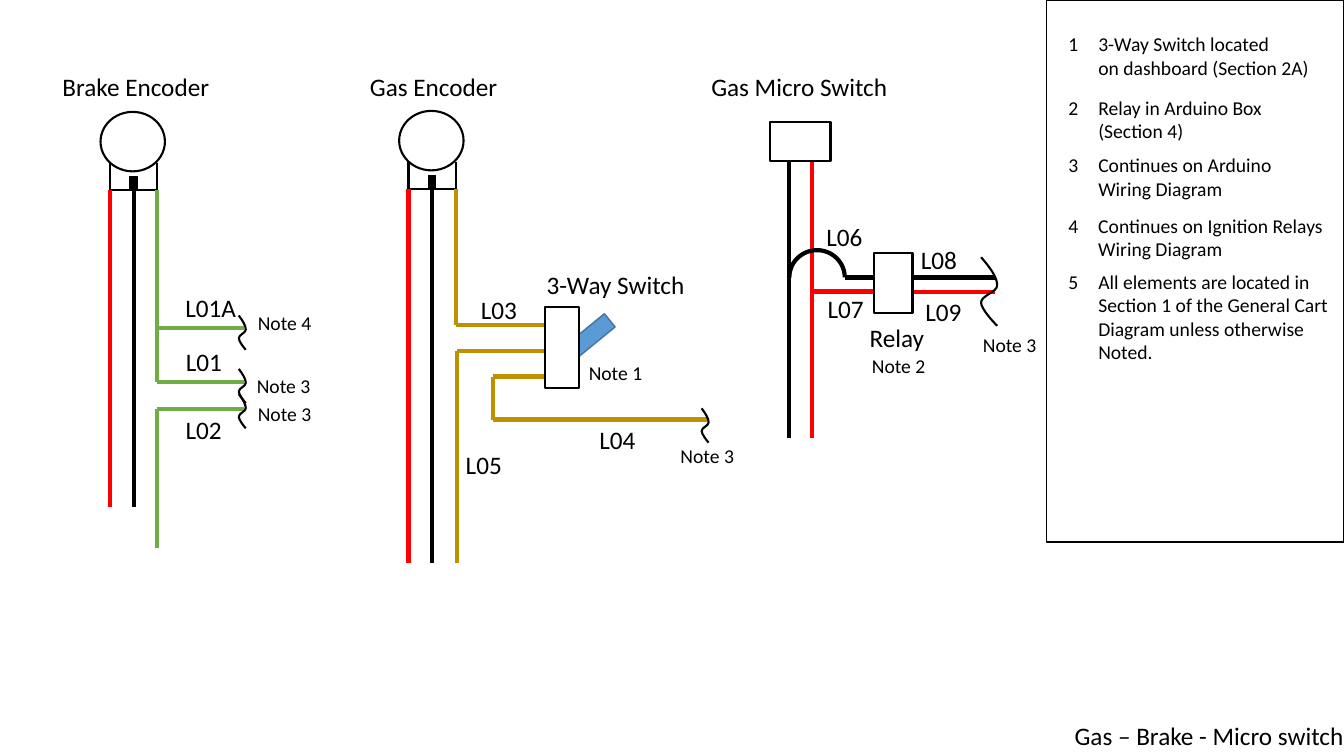
from itertools import pairwise
from typing import NamedTuple

from pptx import Presentation
from pptx.dml.color import RGBColor
from pptx.enum.shapes import MSO_CONNECTOR, MSO_SHAPE
from pptx.enum.text import MSO_AUTO_SIZE
from pptx.oxml.ns import qn
from pptx.shapes.autoshape import Shape
from pptx.shapes.connector import Connector
from pptx.util import Pt
from lxml.etree import SubElement

BLACK, WHITE, RED = "000000", "FFFFFF", "FF0000"
GREEN, GOLD, BLUE, DARK_BLUE = "70AD47", "BF9000", "5B9BD5", "43739E"
WIRE_WIDTH, OUTLINE_WIDTH, THIN_WIDTH = 3, 1.5, 1
TITLE_SIZE, NOTE_SIZE = 18, 14
FRAME_FORMAT = {"word_wrap": False, "auto_size": MSO_AUTO_SIZE.SHAPE_TO_FIT_TEXT}

Point = tuple[float, float]


class Wire(NamedTuple):
    color: str
    points: list[Point]


class Label(NamedTuple):
    text: str
    left: float
    top: float
    width: float
    size: int = TITLE_SIZE


class Encoder(NamedTuple):
    left: float
    top: float
    supply_end: float


class Break(NamedTuple):
    left: float
    top: float
    width: float = 5
    height: float = 24.5


class Note(NamedTuple):
    top: float
    width: float
    lines: str


ENCODERS = [Encoder(71.8, 79.9, 362.2), Encoder(285.1, 79.2, 402.5)]

WIRES = [
    Wire(GREEN, [(112.3, 135.4), (112.3, 272.9), (174.2, 272.9)]),
    Wire(GREEN, [(112.3, 234.5), (174.2, 234.5)]),
    Wire(GREEN, [(174.2, 292.3), (112.3, 292.3), (112.3, 391.3)]),
    Wire(GOLD, [(325.6, 134.7), (325.6, 232.3), (388.8, 232.3)]),
    Wire(GOLD, [(388.8, 250.6), (326.2, 250.6), (326.2, 402.5)]),
    Wire(GOLD, [(389.5, 269), (352.1, 269), (352.1, 299.7), (504.7, 299.7)]),
    Wire(RED, [(580.3, 114.5), (580.3, 312.8)]),
    Wire(BLACK, [(563.8, 114.5), (563.8, 312.8)]),
    Wire(BLACK, [(603.4, 198.2), (624.2, 198.2)]),
    Wire(RED, [(581, 208.2), (624.2, 208.2)]),
    Wire(BLACK, [(653, 198.2), (710.6, 198.2)]),
    Wire(RED, [(651, 208.6), (710.6, 208.6)]),
]

BREAKS = [
    Break(170.6, 225.4),
    Break(170.6, 263.5),
    Break(170.6, 281.5),
    Break(501.2, 291.7),
    Break(700.8, 183.7, 11.5, 49),
]

LABELS = [
    Label("Gas – Brake - Micro switch", 760.5, 511.2, 213.1),
    Label("Brake Encoder", 37.5, 47.5, 120.2),
    Label("Gas Encoder", 257.2, 47.5, 106.6),
    Label("Gas Micro Switch", 501, 47.5, 141.8),
    Label("3-Way Switch", 383.3, 188.6, 113.8),
    Label("Relay", 614.1, 226.8, 54),
    Label("L01A", 125.3, 205.2, 51.1),
    Label("L01", 125.7, 243.6, 40.3),
    Label("L02", 125.5, 292.3, 40.3),
    Label("L03", 336.4, 206.5, 40.3),
    Label("L04", 421, 299.5, 40.3),
    Label("L05", 325.6, 317.5, 40.3),
    Label("L06", 583.2, 154.8, 40.3),
    Label("L07", 584.1, 205.9, 40.3),
    Label("L08", 650.7, 171.1, 40.3),
    Label("L09", 653.9, 208.1, 40.3),
    Label("Note 1", 413.5, 254.2, 53.3, NOTE_SIZE),
    Label("Note 2", 615.7, 249.1, 53.3, NOTE_SIZE),
    Label("Note 3", 176.4, 263.5, 53.3, NOTE_SIZE),
    Label("Note 3", 177.1, 283.7, 53.3, NOTE_SIZE),
    Label("Note 3", 479, 313.2, 53.3, NOTE_SIZE),
    Label("Note 3", 695, 234, 53.3, NOTE_SIZE),
    Label("Note 4", 177.1, 218.9, 53.3, NOTE_SIZE),
]

NOTES = [
    Note(19.4, 166.3, "3-Way Switch located\non dashboard (Section 2A)"),
    Note(64.8, 136.1, "Relay in Arduino Box\n(Section 4)"),
    Note(105.8, 142.6, "Continues on Arduino\nWiring Diagram"),
    Note(149, 177.1, "Continues on Ignition Relays\nWiring Diagram"),
    Note(189.1, 181.4, "All elements are located in\nSection 1 of the General Cart\n"
         "Diagram unless otherwise\nNoted."),
]

# Start, then two handles and an end for each Bezier piece, on a unit square
BREAK_POINTS = [
    (0, 0),
    (0.55, 0.15), (1, 0.29), (1, 0.41),
    (1, 0.51), (0, 0.56), (0, 0.66),
    (0, 0.75), (0.7, 0.93), (1, 1),
]

deck = Presentation()
deck.slide_width, deck.slide_height = Pt(960), Pt(540)
page = deck.slides.add_slide(deck.slide_layouts[6])


def rgb(color: str) -> RGBColor:
    return RGBColor.from_string(color)


def style_shape(shape: Shape, fill: str | None, line: str, width: float) -> None:
    shape.shadow.inherit = False
    if fill:
        shape.fill.solid()
        shape.fill.fore_color.rgb = rgb(fill)
    else:
        shape.fill.background()
    shape.line.color.rgb = rgb(line)
    shape.line.width = Pt(width)


def add_box(kind: MSO_SHAPE, left: float, top: float, width: float, height: float,
            fill: str | None = None, line: str = BLACK,
            line_width: float = OUTLINE_WIDTH) -> Shape:
    box = page.shapes.add_shape(kind, Pt(left), Pt(top), Pt(width), Pt(height))
    style_shape(box, fill, line, line_width)
    return box


def add_line(start: Point, end: Point, color: str, width: float) -> Connector:
    line = page.shapes.add_connector(MSO_CONNECTOR.STRAIGHT, *map(Pt, start + end))
    line.line.color.rgb = rgb(color)
    line.line.width = Pt(width)
    SubElement(line._element.spPr, qn("a:effectLst"))
    return line


def add_text(label: Label) -> None:
    lines = label.text.split("\n")
    height = 7.2 + 1.21 * label.size * len(lines)
    box = page.shapes.add_textbox(Pt(label.left), Pt(label.top), Pt(label.width), Pt(height))
    for name, value in FRAME_FORMAT.items():
        setattr(box.text_frame, name, value)
    font_format = {"name": "Calibri", "size": Pt(label.size)}
    for index, line in enumerate(lines):
        para = box.text_frame.add_paragraph() if index else box.text_frame.paragraphs[0]
        span = para.add_run()
        span.text = line
        for name, value in font_format.items():
            setattr(span.font, name, value)
        span.font.color.rgb = rgb(BLACK)


def add_encoder(encoder: Encoder) -> None:
    """Draw the dial, its bracket and pad, and the red and black wires."""
    left, top, supply_end = encoder
    add_box(MSO_SHAPE.OVAL, left, top, 46, 42.5)
    red_x, black_x, signal_x = left + 6.7, left + 23.7, left + 40.5
    for x in (red_x, signal_x):
        add_line((x, top + 36.5), (x, top + 55.5), BLACK, OUTLINE_WIDTH)
    add_line((red_x, top + 56), (signal_x, top + 56), BLACK, OUTLINE_WIDTH)
    pad = add_box(MSO_SHAPE.RECTANGLE, black_x - 2.5, top + 46, 5, 9.5, BLACK, BLACK, THIN_WIDTH)
    add_line((red_x, top + 55.5), (red_x, supply_end), RED, WIRE_WIDTH)
    black_wire = add_line((black_x, top + 55.5), (black_x, supply_end), BLACK, WIRE_WIDTH)
    black_wire.begin_connect(pad, 2)


def add_break(mark: Break) -> None:
    """Draw the wavy end of a wire, turning each three segments into one curve."""
    points = [(Pt(mark.left + x * mark.width), Pt(mark.top + y * mark.height))
              for x, y in BREAK_POINTS]
    builder = page.shapes.build_freeform(*points[0])
    builder.add_line_segments(points[1:], close=False)
    shape = builder.convert_to_shape()
    segments = list(shape._element.iter(qn("a:lnTo")))
    outline = segments[0].getparent()
    for first in range(0, len(segments), 3):
        curve = SubElement(outline, qn("a:cubicBezTo"))
        for segment in segments[first:first + 3]:
            curve.append(segment[0])
            outline.remove(segment)
    style_shape(shape, None, BLACK, OUTLINE_WIDTH)


for encoder in ENCODERS:
    add_encoder(encoder)
for wire in WIRES:
    for start, end in pairwise(wire.points):
        add_line(start, end, wire.color, WIRE_WIDTH)

switch_handle = add_box(MSO_SHAPE.RECTANGLE, 416.4, 222.5, 12.2, 33.8, BLUE, DARK_BLUE, THIN_WIDTH)
switch_handle.rotation = 230.7
add_box(MSO_SHAPE.RECTANGLE, 389.5, 219.5, 23.8, 58, WHITE)  # 3-way switch
add_box(MSO_SHAPE.RECTANGLE, 550.1, 87.2, 43.2, 27.6, WHITE)  # micro switch
add_box(MSO_SHAPE.RECTANGLE, 624.4, 180.7, 27.4, 43.2, WHITE)  # relay
wire_hop = add_box(MSO_SHAPE.ARC, 563.8, 178.7, 39.6, 38.9, line_width=WIRE_WIDTH)
wire_hop.adjustments[0], wire_hop.adjustments[1] = 107.44, 0

for mark in BREAKS:
    add_break(mark)
for label in LABELS:
    add_text(label)

add_box(MSO_SHAPE.RECTANGLE, 747.4, 0, 212.6, 387.2, line_width=THIN_WIDTH)
for number, note in enumerate(NOTES, 1):
    add_text(Label(str(number), 756, note.top, 21.6, NOTE_SIZE))
    add_text(Label(note.lines, 777.4, note.top, note.width, NOTE_SIZE))

deck.save("out.pptx")
